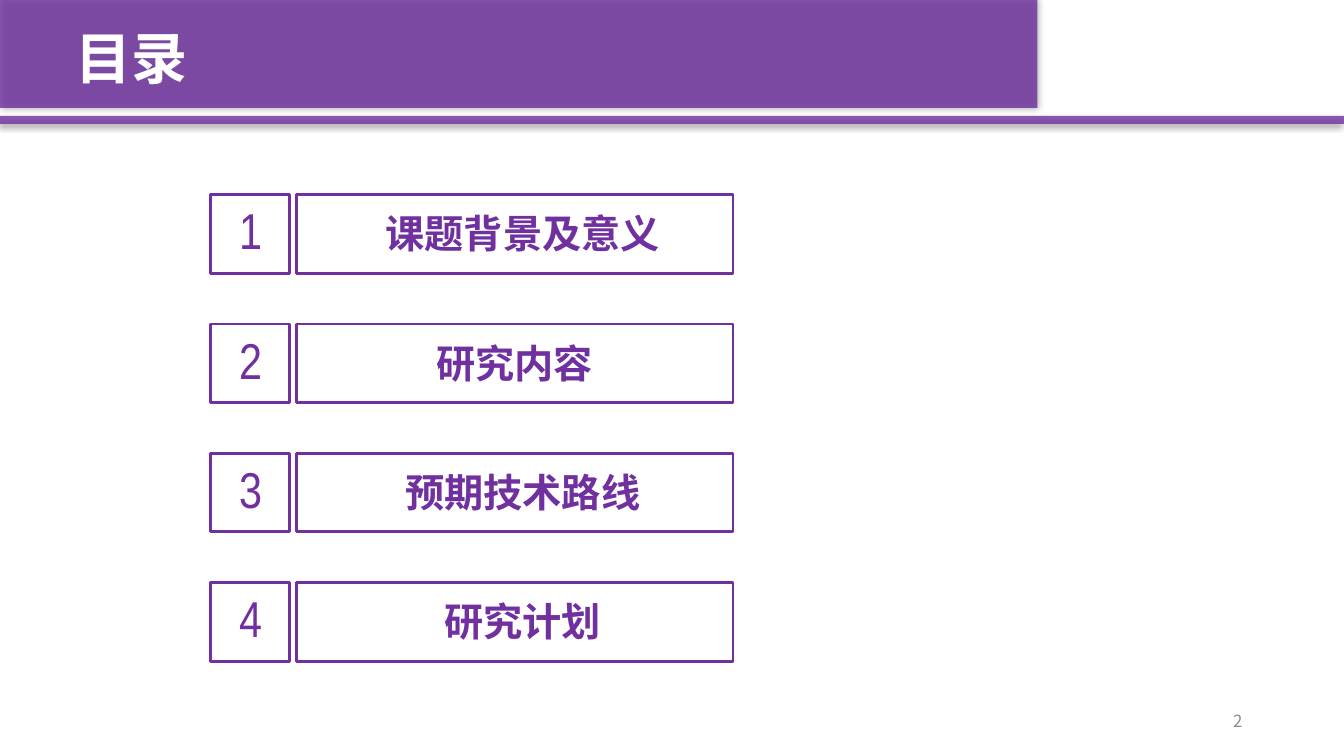
from lxml import etree
from pptx import Presentation
from pptx.dml.color import RGBColor
from pptx.enum.shapes import MSO_SHAPE
from pptx.enum.text import MSO_ANCHOR, PP_ALIGN
from pptx.oxml.ns import qn
from pptx.util import Inches, Pt

RECTANGLE = MSO_SHAPE.RECTANGLE
TOP, MIDDLE = MSO_ANCHOR.TOP, MSO_ANCHOR.MIDDLE
LEFT, CENTER, RIGHT = PP_ALIGN.LEFT, PP_ALIGN.CENTER, PP_ALIGN.RIGHT
PURPLE, WHITE, GREY, BLACK = "7030A0", "FFFFFF", "8C8C8C", "000000"
CJK, NARROW = "Noto Sans CJK SC", "Arial Narrow"
TITLE_ONLY = 5
SLIDE_WIDTH, SLIDE_HEIGHT = 13.33, 7.5


def rgb(color):
    return RGBColor.from_string(color)


def write(holder, text, size, color, font=CJK, bold=False, align=LEFT, anchor=TOP, wrap=True):
    frame = holder.text_frame
    frame.word_wrap = wrap
    frame.vertical_anchor = anchor
    paragraph = frame.paragraphs[0]
    paragraph.alignment = align
    run = paragraph.add_run()
    run.text = text
    run.font.size = Pt(size)
    run.font.bold = bold
    run.font.color.rgb = rgb(color)
    run.font.name = font
    etree.SubElement(run.font._element, qn("a:ea"), typeface=font)


def add_text(shapes, box, text, size, color, **style):
    write(shapes.add_textbox(*map(Inches, box)), text, size, color, **style)


def add_rectangle(shapes, box):
    rectangle = shapes.add_shape(RECTANGLE, *map(Inches, box))
    rectangle.shadow.inherit = False
    return rectangle


def add_bar(shapes, box, blur, distance, direction):
    bar = add_rectangle(shapes, box)
    bar.fill.solid()
    bar.fill.fore_color.rgb = rgb(PURPLE)
    bar.line.fill.background()
    properties = bar._element.spPr
    fill_color = properties.find(qn("a:solidFill")).find(qn("a:srgbClr"))
    etree.SubElement(fill_color, qn("a:alpha"), val="80000")
    shadow = etree.SubElement(
        properties.find(qn("a:effectLst")), qn("a:outerShdw"),
        blurRad=str(Pt(blur)), dist=str(Pt(distance)),
        dir=str(direction * 60000), algn="ctr", rotWithShape="0")
    shadow_color = etree.SubElement(shadow, qn("a:srgbClr"), val=BLACK)
    etree.SubElement(shadow_color, qn("a:alpha"), val="40000")


def add_header(slide, box, heading):
    left, top, width, height = box
    bars = slide.shapes.add_group_shape().shapes
    add_bar(bars, (left, top, 10.29, 1.07), 5, 0, 0)
    add_bar(bars, (left, top + height - 0.08, width, 0.08), 4, 3, 135)
    title = slide.shapes.title
    title.left, title.top = Inches(left + 0.65), Inches(top + 0.18)
    title.width, title.height = Inches(1.32), Inches(0.77)
    write(title, heading, 40, WHITE, bold=True, wrap=False)
    slide.shapes._spTree.append(title._element)


def add_entry(slide, box, number, topic, topic_shift):
    left, top, width, height = box
    topic_left = left + height + 0.07
    entry = slide.shapes.add_group_shape().shapes
    frames = [(topic_left, top, width - height - 0.07, height), (left, top, height, height)]
    for frame_box in frames:
        frame = add_rectangle(entry, frame_box)
        frame.fill.background()
        frame.line.color.rgb = rgb(PURPLE)
        frame.line.width = Pt(2)
    add_text(entry, (topic_left + topic_shift, top + 0.1, 3.85, 0.57), topic, 28, PURPLE,
             bold=True, align=CENTER)
    add_text(entry, (left - 0.11, top, 1.01, 0.71), str(number), 36, PURPLE,
             font=NARROW, align=CENTER)


def add_contents(slide, box, topics):
    left, top, width, height = box
    entry_height = 0.78
    pitch = (height - entry_height) / (len(topics) - 1)
    for index, (topic, topic_shift) in enumerate(topics):
        add_entry(slide, (left, top + index * pitch, width, entry_height),
                  index + 1, topic, topic_shift)


deck = Presentation()
deck.slide_width, deck.slide_height = Inches(SLIDE_WIDTH), Inches(SLIDE_HEIGHT)
contents = deck.slides.add_slide(deck.slide_layouts[TITLE_ONLY])
add_text(contents.shapes, (9.42, 6.95, 3, 0.4), "2", 12, GREY, align=RIGHT, anchor=MIDDLE)
add_header(contents, (0, 0, SLIDE_WIDTH, 1.23), "目录")
add_contents(contents, (2.09, 1.93, 5.18, 4.63), [
    ("课题背景及意义", 0.32),
    ("研究内容", 0.24),
    ("预期技术路线", 0.32),
    ("研究计划", 0.32),
])
deck.save("out.pptx")
